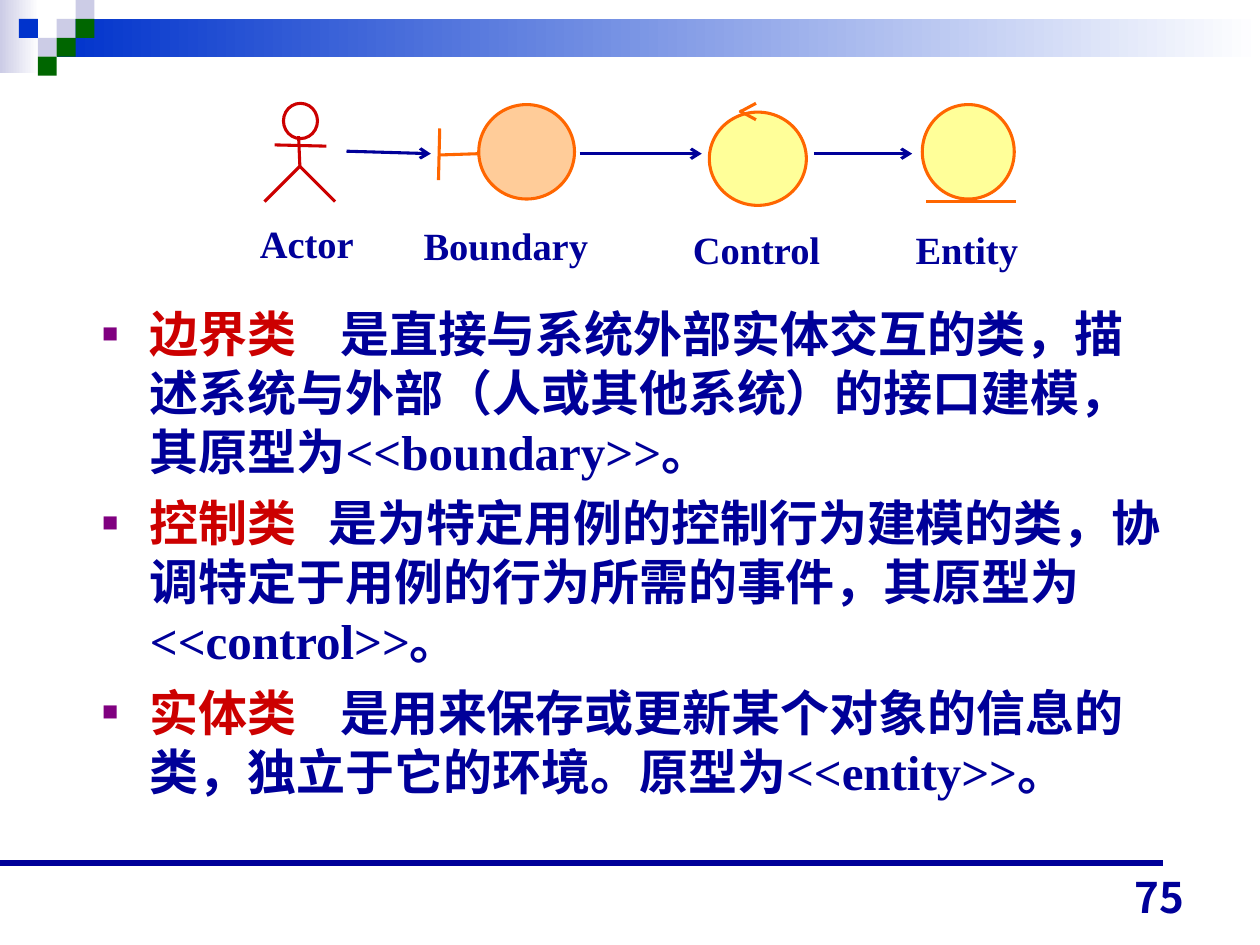
from lxml import etree
from pptx import Presentation
from pptx.dml.color import RGBColor
from pptx.enum.shapes import MSO_CONNECTOR, MSO_SHAPE
from pptx.enum.text import MSO_ANCHOR, MSO_AUTO_SIZE, PP_ALIGN
from pptx.oxml.ns import qn
from pptx.util import Inches, Pt

RECT, OVAL = MSO_SHAPE.RECTANGLE, MSO_SHAPE.OVAL
STRAIGHT = MSO_CONNECTOR.STRAIGHT
CENTER, RIGHT = PP_ALIGN.CENTER, PP_ALIGN.RIGHT
TOP, BOTTOM = MSO_ANCHOR.TOP, MSO_ANCHOR.BOTTOM
NO_FIT, GROW = MSO_AUTO_SIZE.NONE, MSO_AUTO_SIZE.SHAPE_TO_FIT_TEXT
SERIF, SANS = "Times New Roman", "Noto Sans CJK JP"
C = {"white": "FFFFFF", "lilac": "CCCCE6", "blue": "0033CC", "green": "006600",
     "navy": "000099", "red": "CC0000", "orange": "FF6600", "peach": "FFCC99",
     "yellow": "FFFF99", "purple": "800080"}

# Content: term, gap after the term in points, definition
DEFINITIONS = [
    ("边界类", 18.5, "是直接与系统外部实体交互的类，描述系统与外部（人或其他系统）"
                  "的接口建模，其原型为<<boundary>>。"),
    ("控制类", 12, "是为特定用例的控制行为建模的类，协调特定于用例的行为所需的事件，"
                "其原型为<<control>>。"),
    ("实体类", 18.5, "是用来保存或更新某个对象的信息的类，独立于它的环境。"
                  "原型为<<entity>>。"),
]
LABELS = [("Actor", 2.06, 1.75, 0.75, CENTER), ("Boundary", 3.36, 1.76, 1.31, CENTER),
          ("Control", 5.47, 1.79, 1.04, RIGHT), ("Entity", 7.2, 1.79, 0.88, RIGHT)]
CIRCLES = [((2.25, 0.82, 0.27, 0.28), None, "red"),
           ((3.8, 0.83, 0.76, 0.75), "peach", "orange"),
           ((5.63, 0.89, 0.77, 0.74), "yellow", "orange"),
           ((7.32, 0.83, 0.73, 0.75), "yellow", "orange")]
STROKES = [
    ("red", (2.37, 1.08, 2.38, 1.32)), ("red", (2.18, 1.15, 2.59, 1.16)),
    ("orange", (3.49, 1.02, 3.48, 1.43)), ("orange", (3.49, 1.23, 3.8, 1.22)),
    ("orange", (6, 0.82, 5.87, 0.89)), ("orange", (6, 0.95, 5.87, 0.88)),
    ("orange", (7.35, 1.6, 8.06, 1.6)),
]
ARROWS = [(2.75, 1.2, 3.42, 1.22), (4.6, 1.22, 5.57, 1.22), (6.46, 1.22, 7.24, 1.22)]
LEGS = [(2.1, 1.6), (2.38, 1.32), (2.66, 1.6)]
# Checker squares as column, row, colour
TILE = 0.15
TILES = [(3, 1, "lilac"), (4, 0, "lilac"), (4, 1, "green"), (2, 2, "lilac"),
         (1, 1, "blue"), (3, 2, "green"), (2, 3, "green")]


def rgb(name):
    return RGBColor.from_string(C[name])


def add_shape(kind, box, fill=None, line=None, fade=False):
    sp = s.shapes.add_shape(kind, *map(Inches, box))
    sp.shadow.inherit = False
    if fade:
        sp.fill.gradient()
        sp.fill.gradient_angle = 0
        for stop, name in zip(sp.fill.gradient_stops, (fill, "white")):
            stop.color.rgb = rgb(name)
    elif fill:
        sp.fill.solid()
        sp.fill.fore_color.rgb = rgb(fill)
    else:
        sp.fill.background()
    if line:
        sp.line.color.rgb = rgb(line)
        sp.line.width = Pt(1.75)
    else:
        sp.line.fill.background()


def add_line(ends, color, width=1.75, arrow=False):
    cn = s.shapes.add_connector(STRAIGHT, *map(Inches, ends))
    cn.line.color.rgb = rgb(color)
    cn.line.width = Pt(width)
    if arrow:
        etree.SubElement(cn.line._get_or_add_ln(), qn("a:tailEnd"), type="arrow")
    etree.SubElement(cn._element.spPr, qn("a:effectLst"))


def add_run(p, text, size=28, color="navy", font=SERIF, gap=0):
    r = p.add_run()
    r.text = text
    r.font.size = Pt(size)
    r.font.bold = True
    r.font.name = font
    r.font.color.rgb = rgb(color)
    rPr = r._r.get_or_add_rPr()
    etree.SubElement(rPr, qn("a:ea"), typeface=SANS)
    if gap:
        rPr.set("spc", str(int(gap * 100)))


def add_text(text, box, align, wrap=True, margins=(0, 0), anchor=TOP, **fmt):
    tf = s.shapes.add_textbox(*map(Inches, box)).text_frame
    tf.word_wrap = wrap
    tf.auto_size = NO_FIT if wrap else GROW
    tf.vertical_anchor = anchor
    tf.margin_left = tf.margin_right = Inches(margins[0])
    tf.margin_top = tf.margin_bottom = Inches(margins[1])
    p = tf.paragraphs[0]
    p.alignment = align
    add_run(p, text, **fmt)


def add_bullet(p):
    pPr = p._p.get_or_add_pPr()
    pPr.set("marL", str(Inches(0.38)))
    pPr.set("indent", str(-Inches(0.38)))
    clr = etree.SubElement(pPr, qn("a:buClr"))
    etree.SubElement(clr, qn("a:srgbClr"), val=C["purple"])
    etree.SubElement(pPr, qn("a:buSzPct"), val="55000")
    etree.SubElement(pPr, qn("a:buChar"), char="■")


prs = Presentation()
prs.slide_width, prs.slide_height = Inches(10), Inches(7.5)
s = prs.slides.add_slide(prs.slide_layouts[1])
title = s.shapes.title._element
title.getparent().remove(title)
body = s.placeholders[1]

# Header band, checker squares and footer rule
add_shape(RECT, (0, 0, 0.31, 0.58), "lilac", fade=True)
add_shape(RECT, (0.45, 0.15, 9.55, 0.3), "blue", fade=True)
for col, row, color in TILES:
    add_shape(RECT, (col * TILE, row * TILE, TILE, TILE), color)
add_line((0, 6.85, 9.23, 6.85), "navy", 3.5)

# Definitions
body.left, body.top, body.width, body.height = map(Inches, (0.71, 2.36, 8.64, 4.25))
tf = body.text_frame
tf.auto_size = NO_FIT
for i, (term, gap, definition) in enumerate(DEFINITIONS):
    p = tf.add_paragraph() if i else tf.paragraphs[0]
    p.line_spacing = Pt(33.7)
    p.space_before = Pt(7 if i else 0)
    add_bullet(p)
    add_run(p, term, color="red")
    add_run(p, " ", gap=gap)
    add_run(p, definition)

# Class symbols
for box, fill, line in CIRCLES:
    add_shape(OVAL, box, fill, line)
for color, ends in STROKES:
    add_line(ends, color)
fb = s.shapes.build_freeform(*map(Inches, LEGS[0]))
fb.add_line_segments([tuple(map(Inches, pt)) for pt in LEGS[1:]], close=False)
legs = fb.convert_to_shape()
legs.shadow.inherit = False
legs.fill.background()
legs.line.color.rgb = rgb("red")
legs.line.width = Pt(1.75)
for ends in ARROWS:
    add_line(ends, "navy", arrow=True)
for text, left, top, width, align in LABELS:
    add_text(text, (left, top, width, 0.37), align, wrap=False, size=22)

# Page number
add_text("75", (7.17, 6.87, 2.33, 0.5), RIGHT, margins=(0.1, 0.05),
         anchor=BOTTOM, size=24, font=SANS)

prs.save("out.pptx")
